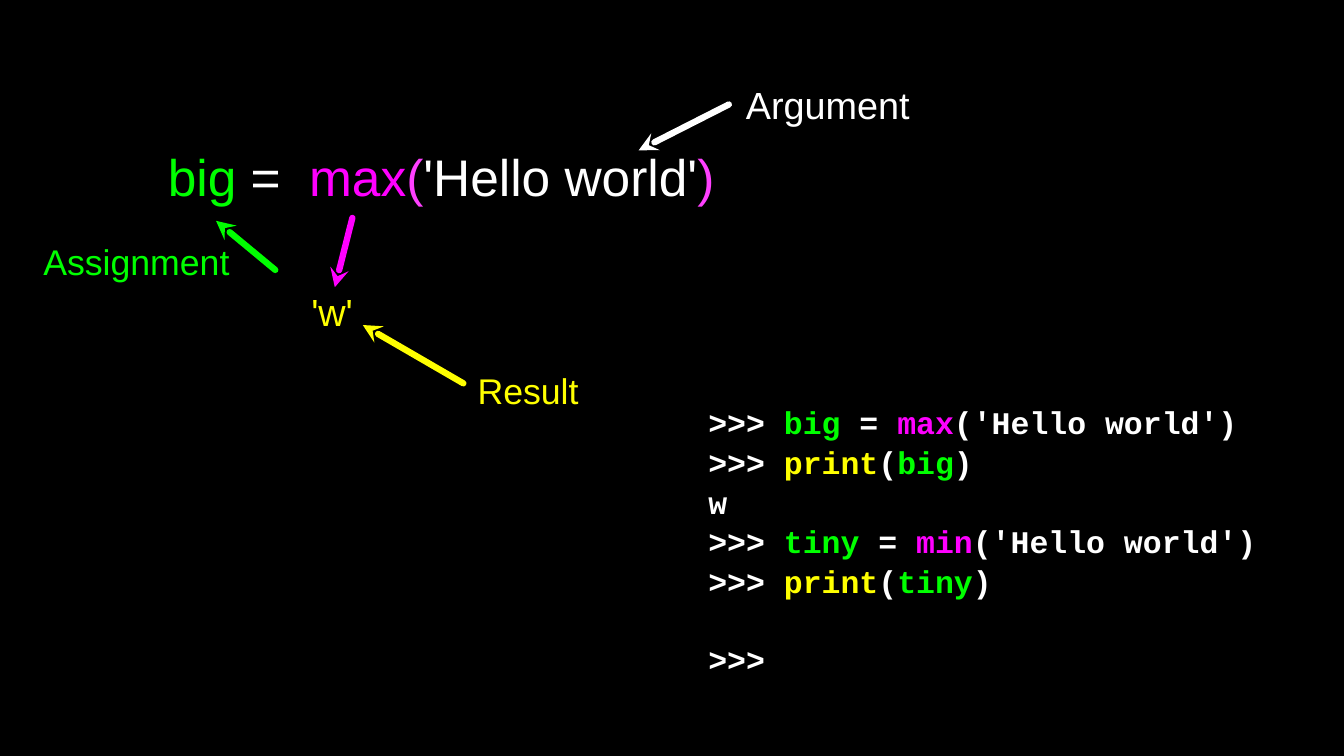
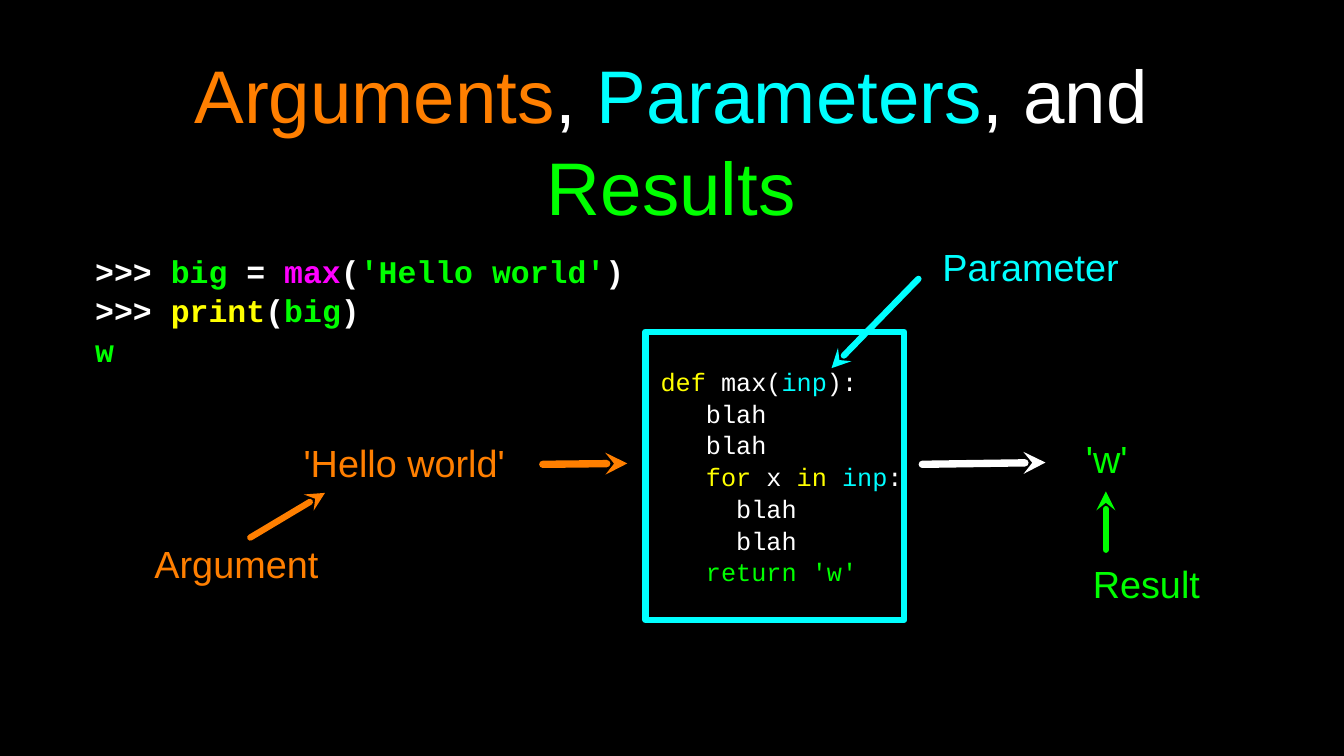
from lxml import etree
from pptx import Presentation
from pptx.dml.color import RGBColor
from pptx.enum.shapes import MSO_CONNECTOR as Connector, MSO_SHAPE as Shape
from pptx.enum.text import MSO_ANCHOR as Anchor, PP_ALIGN as Align
from pptx.oxml.ns import qn
from pptx.util import Cm, Pt

BLACK, WHITE = "000000", "FFFFFF"
GREEN, YELLOW, ORANGE = "00FF00", "FFFF00", "FF7F00"
MAGENTA, PINK = "FF00FF", "FF40FF"
CYAN, PALE_CYAN = "00FFFF", "00FDFF"
SANS, MONO = "Arial", "Courier New"
LABEL_HEIGHT = 1.73
CODE_SIZE, FUNCTION_SIZE = 30, 24
CODE_SPACING, TITLE_SPACING = 1.05, 1.03
MONO_ADVANCE = 0.6  # character width as a share of the font size


def paint(color_format, color):
    color_format.rgb = RGBColor.from_string(color)


def write(shape, lines, size, font=SANS, bold=False, align=Align.LEFT,
          spacing=None, inset=0):
    """Fill a shape with lines, each a list of (text, color) runs."""
    frame = shape.text_frame
    frame.word_wrap = True
    frame.vertical_anchor = Anchor.MIDDLE
    frame.margin_left = frame.margin_right = Cm(inset)
    frame.margin_top = frame.margin_bottom = Cm(inset)
    for index, line in enumerate(lines):
        paragraph = frame.paragraphs[0] if index == 0 else frame.add_paragraph()
        paragraph.alignment = align
        if spacing:
            paragraph.line_spacing = spacing
        for text, color in line:
            run = paragraph.add_run()
            run.text = text
            run.font.name, run.font.size, run.font.bold = font, Pt(size), bold
            paint(run.font.color, color)
    return frame.paragraphs


def add_text(slide, box, lines, size, **style):
    shape = slide.shapes.add_textbox(*map(Cm, box))
    return write(shape, lines, size, **style)


def add_label(slide, left, top, width, text, color, size=36, align=Align.CENTER):
    add_text(slide, (left, top, width, LABEL_HEIGHT), [[(text, color)]], size,
             align=align)


def add_console(slide, box, lines):
    return add_text(slide, box, lines, CODE_SIZE, font=MONO, bold=True,
                    spacing=CODE_SPACING)


def prompt(*runs):
    return [(">>> ", WHITE), *runs]


def assign_line(name, function, argument_runs):
    return prompt((name, GREEN), (" = ", WHITE), (function, MAGENTA),
                  *argument_runs)


def print_line(name):
    return prompt(("print", YELLOW), ("(", WHITE), (name, GREEN), (")", WHITE))


def style_line(shape, color, width):
    """Give the outline its color, width, round caps and round joins."""
    paint(shape.line.color, color)
    shape.line.width = Pt(width)
    outline = shape.line._get_or_add_ln()
    outline.set("cap", "rnd")
    etree.SubElement(outline, qn("a:round"))
    return outline


def add_arrow(slide, start, tip, color, width=6):
    connector = slide.shapes.add_connector(
        Connector.STRAIGHT, *map(Cm, (*start, *tip)))
    outline = style_line(connector, color, width)
    etree.SubElement(outline, qn("a:tailEnd"), type="stealth")
    etree.SubElement(connector._element.spPr, qn("a:effectLst"))


def add_tab_stop(paragraph, position):
    tabs = etree.SubElement(paragraph._p.get_or_add_pPr(), qn("a:tabLst"))
    etree.SubElement(tabs, qn("a:tab"), pos=str(int(Cm(position))), algn="l")


def add_function_box(slide, box, lines):
    """Draw framed code; each line is (indent in characters, runs)."""
    frame = slide.shapes.add_shape(Shape.RECTANGLE, *map(Cm, box))
    frame.shadow.inherit = False
    frame.fill.background()
    style_line(frame, CYAN, 6)
    paragraphs = write(frame, [runs for _, runs in lines], FUNCTION_SIZE,
                       font=MONO, spacing=CODE_SPACING)
    for paragraph, (indent, _) in zip(paragraphs, lines):
        margin = Pt(indent * FUNCTION_SIZE * MONO_ADVANCE)
        paragraph._p.get_or_add_pPr().set("marL", str(int(margin)))


def build_call_slide(slide):
    hello = [("('Hello world')", WHITE)]
    console = add_console(slide, (23.8, 13.54, 19.41, 9.17), [
        assign_line("big", "max", hello),
        print_line("big"),
        [("w", WHITE)],
        assign_line("tiny", "min", hello),
        print_line("tiny"),
        [(">>>", WHITE)],
    ])
    console[-2].space_after = Pt(36)

    statement = add_text(slide, (5.64, 4.78, 18.85, 2.26), [[
        ("big", GREEN), (" =\t", WHITE), ("max", MAGENTA), ("(", PINK),
        ("'Hello world'", WHITE), (")", PINK),
    ]], 49)
    add_tab_stop(statement[0], 4.75)

    add_label(slide, 24.49, 2.64, 6.65, "Argument", WHITE)
    add_label(slide, 10.46, 9.6, 1.7, "'w'", YELLOW, align=Align.LEFT)
    add_label(slide, 15.98, 12.24, 3.53, "Result", YELLOW, size=34)
    add_label(slide, 0.94, 7.92, 7.29, "Assignment", GREEN, size=34)

    add_arrow(slide, (24.49, 3.51), (21.46, 5.05), WHITE)
    add_arrow(slide, (15.57, 12.88), (12.19, 10.92), YELLOW)
    add_arrow(slide, (9.25, 9.07), (7.26, 7.42), GREEN)
    add_arrow(slide, (11.84, 7.32), (11.25, 9.65), MAGENTA)


def build_parameter_slide(slide):
    add_text(slide, (3.2, 2.24, 38.71, 4.83), [[
        ("Arguments", ORANGE), (", ", WHITE), ("Parameters", CYAN),
        (", and ", WHITE), ("Results", GREEN),
    ]], 71, align=Align.CENTER, spacing=TITLE_SPACING, inset=0.1)

    add_console(slide, (3.2, 8.08, 20.98, 4.62), [
        assign_line("big", "max", [("(", WHITE), ("'Hello world'", GREEN),
                                   (")", WHITE)]),
        print_line("big"),
        [("w", GREEN)],
    ])

    blah = [("blah", WHITE)]
    add_function_box(slide, (21.69, 11.15, 8.69, 9.68), [
        (1, [("def", YELLOW), (" max(", WHITE), ("inp", CYAN), ("):", WHITE)]),
        (4, blah),
        (4, blah),
        (4, [("for", YELLOW), (" x ", WHITE), ("in ", YELLOW),
             ("inp", PALE_CYAN), (":", WHITE)]),
        (6, blah),
        (6, blah),
        (4, [("return 'w'", GREEN)]),
    ])

    add_label(slide, 9.8, 14.68, 7.92, "'Hello world' ", ORANGE)
    add_label(slide, 36.3, 14.53, 1.78, "'w'", GREEN)
    add_label(slide, 4.72, 18.06, 6.45, "Argument", ORANGE)
    add_label(slide, 31.19, 8.08, 6.88, "Parameter", CYAN)
    add_label(slide, 36.17, 18.75, 4.7, "Result", GREEN)

    add_arrow(slide, (18.24, 15.6), (21.08, 15.57), ORANGE, width=7)
    add_arrow(slide, (30.99, 15.6), (35.13, 15.54), WHITE, width=7)
    add_arrow(slide, (8.41, 18.06), (10.92, 16.56), ORANGE)
    add_arrow(slide, (30.86, 9.37), (27.94, 12.37), CYAN)
    add_arrow(slide, (37.16, 18.47), (37.16, 16.51), GREEN)


def main():
    presentation = Presentation()
    presentation.slide_width, presentation.slide_height = Cm(45.16), Cm(25.4)
    background = presentation.slide_master.background.fill
    background.solid()
    paint(background.fore_color, BLACK)
    blank = presentation.slide_layouts[6]
    for build in (build_call_slide, build_parameter_slide):
        build(presentation.slides.add_slide(blank))
    presentation.save("out.pptx")


if __name__ == "__main__":
    main()
